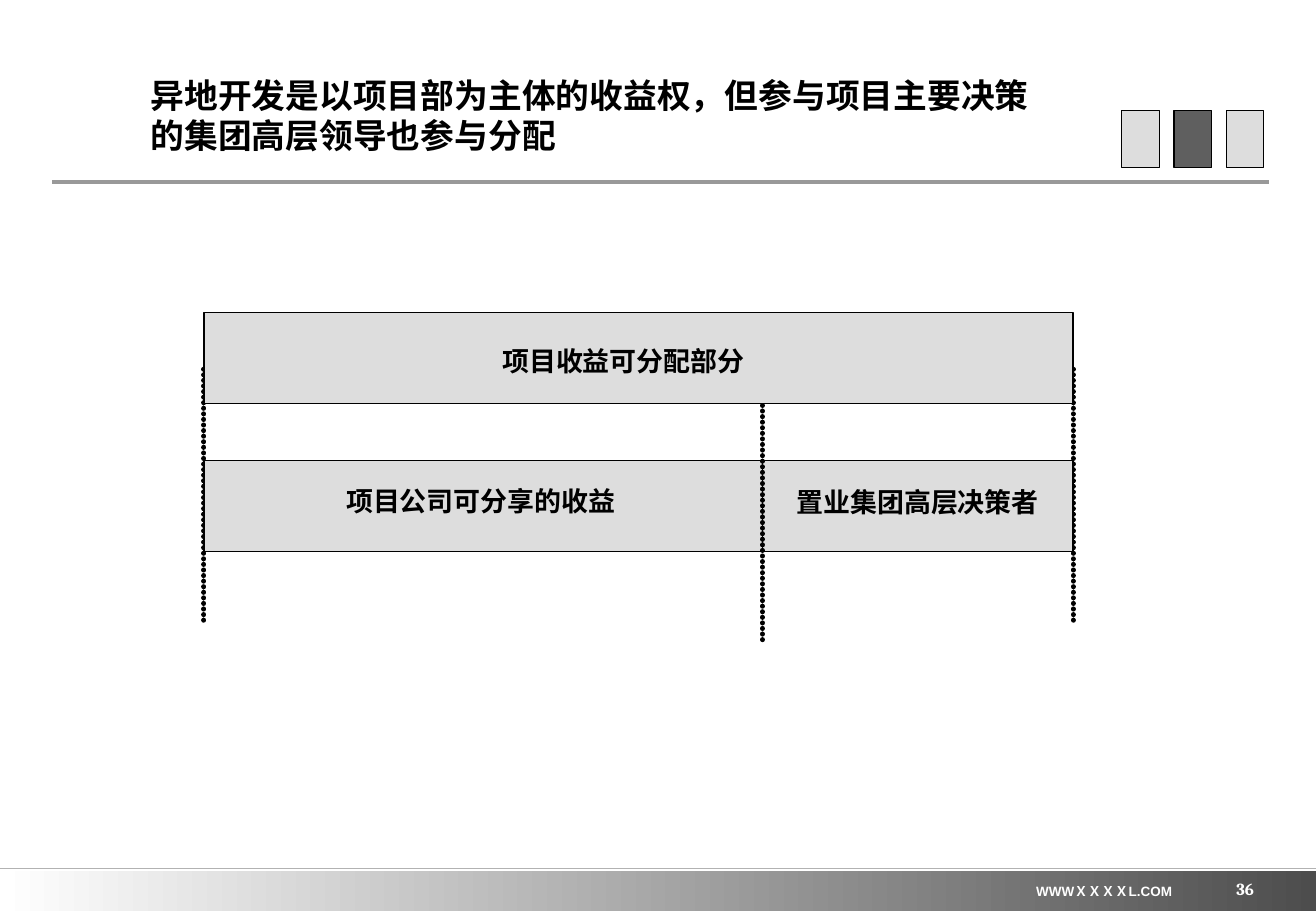
from lxml import etree
from pptx import Presentation
from pptx import util as u
from pptx.dml.color import RGBColor
from pptx.enum import shapes, text
from pptx.oxml.ns import qn

BLACK, WHITE, PALE, DARK = "000000", "FFFFFF", "DDDDDD", "5F5F5F"
HAN = "Noto Sans CJK SC"
RECT = shapes.MSO_SHAPE.RECTANGLE
INCH = u.Inches

deck = Presentation()
deck.slide_width, deck.slide_height = INCH(10.84), INCH(7.5)
slide = deck.slides.add_slide(deck.slide_layouts[5])
parts = slide.shapes


def color(code):
    return RGBColor.from_string(code)


def style(run, size, face, code):
    run.font.size, run.font.name, run.font.bold = u.Pt(size), face, True
    run.font.color.rgb = color(code)
    etree.SubElement(run.font._element, qn("a:ea"), typeface=HAN)


# Footer band
band = parts.add_shape(RECT, 0, INCH(7.17), INCH(10.84), INCH(0.33))
band.shadow.inherit = False
band.line.fill.background()
band.fill.gradient()
band.fill.gradient_angle = 0
for stop, code in zip(band.fill.gradient_stops, (WHITE, "4D4D4D")):
    stop.color.rgb = color(code)

# Title
title = parts.title
title.left, title.top = INCH(1.24), INCH(0.58)
title.width, title.height = INCH(7.48), INCH(0.73)
frame = title.text_frame
frame.text = "异地开发是以项目部为主体的收益权，但参与项目主要决策的集团高层领导也参与分配"
frame.auto_size = text.MSO_AUTO_SIZE.NONE
frame.word_wrap = True
frame.vertical_anchor = text.MSO_ANCHOR.MIDDLE
frame.margin_left = frame.margin_right = frame.margin_top = frame.margin_bottom = 0
para = frame.paragraphs[0]
para.alignment = text.PP_ALIGN.LEFT
para.line_spacing = 1.0
style(para.runs[0], 20, HAN, BLACK)

# Rules and dotted guides: x1, y1, x2, y2, colour, width, dotted
left, split, right = 1.68, 6.28, 8.84
lines = [
    (0.43, 1.5, 10.45, 1.5, "999999", 2.5, False),
    (0, 7.15, 10.84, 7.15, "B2B2B2", 1, False),
    (left, 3.04, left, 5.13, BLACK, 3, True),
    (right, 3.04, right, 5.13, BLACK, 3, True),
    (split, 3.2, split, 5.29, BLACK, 3, True),
]
for x1, y1, x2, y2, code, width, dotted in lines:
    line = parts.add_connector(shapes.MSO_CONNECTOR.STRAIGHT,
                               INCH(x1), INCH(y1), INCH(x2), INCH(y2))
    line.line.color.rgb = color(code)
    line.line.width = u.Pt(width)
    props = line._element.spPr
    if dotted:
        # Round dots set close together
        stroke = props.find(qn("a:ln"))
        stroke.set("cap", "rnd")
        dash = etree.SubElement(stroke, qn("a:custDash"))
        etree.SubElement(dash, qn("a:ds"), d="100000", sp="10000")
    etree.SubElement(props, qn("a:effectLst"))
guide = line

# Corner marks and income bars: x, y, width, height, fill
boxes = [(9.24 + 0.43 * i, 0.91, 0.31, 0.47, code)
         for i, code in enumerate((PALE, DARK, PALE))]
boxes += [
    (left, 3.79, split - left, 0.75, PALE),
    (split, 3.79, right - split, 0.75, PALE),
    (left, 2.57, right - left, 0.75, PALE),
]
for x, y, w, h, code in boxes:
    if (x, y) == (left, 2.57):
        # The middle guide lies over the lower bars and under the top bar
        parts._spTree.append(guide._element)
    box = parts.add_shape(RECT, INCH(x), INCH(y), INCH(w), INCH(h))
    box.shadow.inherit = False
    box.fill.solid()
    box.fill.fore_color.rgb = color(code)
    box.line.color.rgb = color(BLACK)
    box.line.width = u.Pt(0.75)

# Labels: words, x, y, width, height, size, font, colour, wrap
labels = [
    ("项目公司可分享的收益", 2.7, 3.94, 2.52, 0.37, 16, "Arial", BLACK, True),
    ("置业集团高层决策者", 6.36, 3.95, 2.4, 0.37, 16, "Arial", BLACK, True),
    ("项目收益可分配部分", 1.82, 2.79, 6.63, 0.37, 16, "Arial", BLACK, True),
    ("WWWＸＸＸＸL.COM", 8.2, 7.22, 1.79, 0.24, 8, "Arial", WHITE, False),
    ("36", 8.07, 7.07, 2.26, 0.33, 10, "Cambria", WHITE, True),
]
for words, x, y, w, h, size, face, code, wrap in labels:
    label = parts.add_textbox(INCH(x), INCH(y), INCH(w), INCH(h))
    frame = label.text_frame
    frame.text = words
    frame.word_wrap = wrap
    para = frame.paragraphs[0]
    para.alignment = text.PP_ALIGN.CENTER
    style(para.runs[0], size, face, code)

# Page number sits at the lower right of its box
frame.vertical_anchor = text.MSO_ANCHOR.BOTTOM
frame.margin_left = frame.margin_right = frame.margin_top = frame.margin_bottom = 0
para.alignment = text.PP_ALIGN.RIGHT

deck.save("out.pptx")
